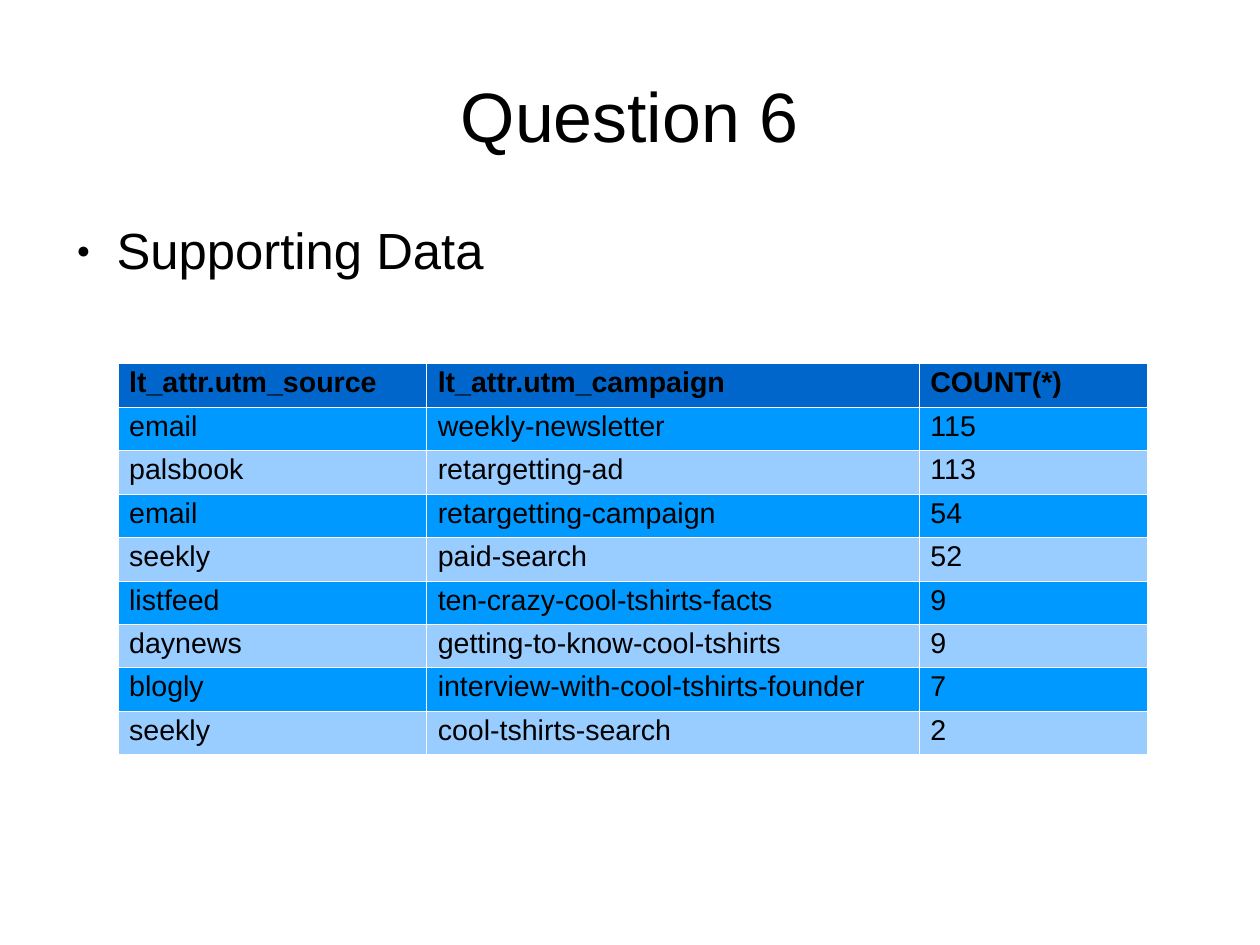
from dataclasses import dataclass

from lxml.etree import SubElement
from pptx import Presentation
from pptx.dml.color import RGBColor
from pptx.enum.text import MSO_ANCHOR, PP_ALIGN
from pptx.oxml.ns import qn
from pptx.util import Inches, Pt


@dataclass(frozen=True)
class Theme:
    """Colours, type sizes and font of the slide."""

    font: str = "Arial"
    text: str = "000000"
    border: str = "FFFFFF"
    header_fill: str = "0066CC"
    odd_fill: str = "0099FF"
    even_fill: str = "99CCFF"
    title_size: float = 44
    body_size: float = 32
    table_size: float = 18
    border_width: float = 0.06
    line_spacing: float = 0.93


THEME = Theme()

CENTIMETRES_PER_INCH = 2.54
COLUMN_WIDTHS = (2.7, 4.31, 2)
ROW_HEIGHT = 0.38
CAMPAIGN_COUNTS = (
    ("lt_attr.utm_source", "lt_attr.utm_campaign", "COUNT(*)"),
    ("email", "weekly-newsletter", "115"),
    ("palsbook", "retargetting-ad", "113"),
    ("email", "retargetting-campaign", "54"),
    ("seekly", "paid-search", "52"),
    ("listfeed", "ten-crazy-cool-tshirts-facts", "9"),
    ("daynews", "getting-to-know-cool-tshirts", "9"),
    ("blogly", "interview-with-cool-tshirts-founder", "7"),
    ("seekly", "cool-tshirts-search", "2"),
)


def write_text(text_frame, text, size, bold=False, align=PP_ALIGN.LEFT, space_after=0):
    """Write one formatted paragraph and return it."""
    paragraph = text_frame.paragraphs[0]
    paragraph.alignment = align
    paragraph.line_spacing = THEME.line_spacing
    paragraph.space_after = Pt(space_after)
    run = paragraph.add_run()
    run.text = text
    run.font.name = THEME.font
    run.font.size = Pt(size)
    run.font.bold = bold
    run.font.color.rgb = RGBColor.from_string(THEME.text)
    return paragraph


def add_text_box(slide, left, top, width, height, inset_top, anchor=MSO_ANCHOR.TOP):
    """Add a wrapping text box and return its text frame."""
    box = slide.shapes.add_textbox(Inches(left), Inches(top), Inches(width), Inches(height))
    text_frame = box.text_frame
    text_frame.word_wrap = True
    text_frame.vertical_anchor = anchor
    text_frame.margin_left = text_frame.margin_right = text_frame.margin_bottom = 0
    text_frame.margin_top = Inches(inset_top)
    return text_frame


def add_bullet(paragraph, indent, hanging):
    """Give a paragraph a small round bullet with a hanging indent."""
    properties = paragraph._p.get_or_add_pPr()
    properties.set("marL", str(Inches(indent)))
    properties.set("indent", str(-Inches(hanging)))
    colour = SubElement(properties, qn("a:buClr"))
    SubElement(colour, qn("a:srgbClr"), val=THEME.text)
    SubElement(properties, qn("a:buSzPct"), val="45000")
    SubElement(properties, qn("a:buFont"), typeface=THEME.font)
    SubElement(properties, qn("a:buChar"), char="●")


def style_cell(cell, fill):
    """Set the borders and the fill of a table cell."""
    properties = cell._tc.get_or_add_tcPr()
    for edge in ("a:lnL", "a:lnR", "a:lnT", "a:lnB"):
        line = SubElement(properties, qn(edge), w=str(Pt(THEME.border_width)))
        solid = SubElement(line, qn("a:solidFill"))
        SubElement(solid, qn("a:srgbClr"), val=THEME.border)
    cell.fill.solid()
    cell.fill.fore_color.rgb = RGBColor.from_string(fill)


def row_fill(row_index):
    """Return the header colour or the banded colour of a row."""
    if row_index == 0:
        return THEME.header_fill
    return THEME.odd_fill if row_index % 2 else THEME.even_fill


def add_data_table(slide, rows, left, top):
    """Add the banded table with a bold header row."""
    width, height = sum(COLUMN_WIDTHS), ROW_HEIGHT * len(rows)
    frame = slide.shapes.add_table(
        len(rows), len(COLUMN_WIDTHS), Inches(left), Inches(top), Inches(width), Inches(height)
    )
    table = frame.table
    for column, column_width in zip(table.columns, COLUMN_WIDTHS):
        column.width = Inches(column_width)
    for row_index, values in enumerate(rows):
        table.rows[row_index].height = Inches(ROW_HEIGHT)
        for column_index, value in enumerate(values):
            cell = table.cell(row_index, column_index)
            style_cell(cell, row_fill(row_index))
            write_text(cell.text_frame, value, THEME.table_size, bold=row_index == 0)


def main():
    """Build and save the slide."""
    presentation = Presentation()
    presentation.slide_width = Inches(28 / CENTIMETRES_PER_INCH)
    presentation.slide_height = Inches(21 / CENTIMETRES_PER_INCH)
    slide = presentation.slides.add_slide(presentation.slide_layouts[6])

    title = add_text_box(slide, 0.55, 0.33, 9.92, 1.38, 0.04, MSO_ANCHOR.MIDDLE)
    write_text(title, "Question 6", THEME.title_size, align=PP_ALIGN.CENTER)

    body = add_text_box(slide, 0.55, 1.93, 9.92, 5.46, 0.03)
    heading = write_text(body, "Supporting Data", THEME.body_size, space_after=14.1)
    add_bullet(heading, indent=0.47, hanging=0.35)

    add_data_table(slide, CAMPAIGN_COUNTS, 1.03, 3.18)
    presentation.save("out.pptx")


if __name__ == "__main__":
    main()
